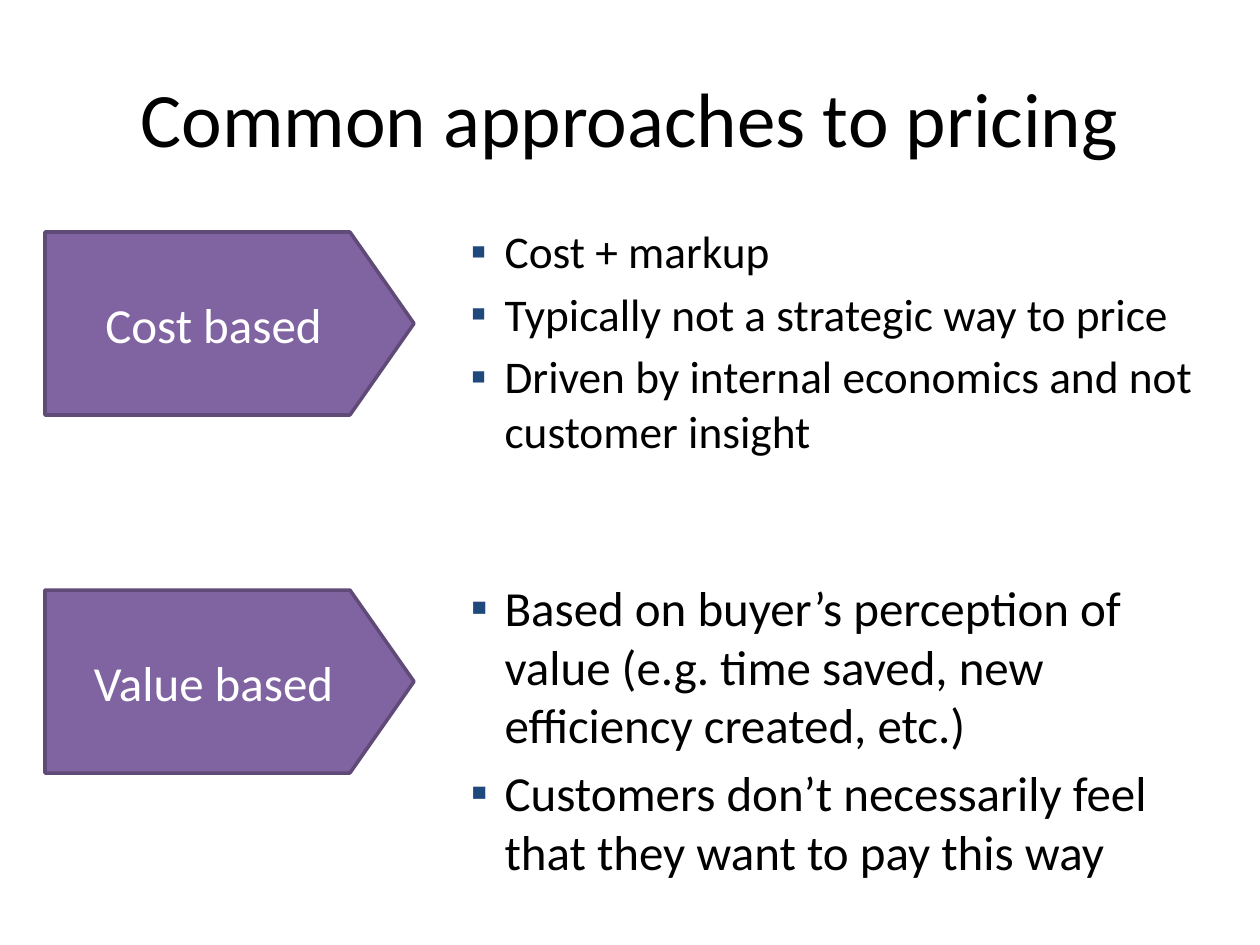
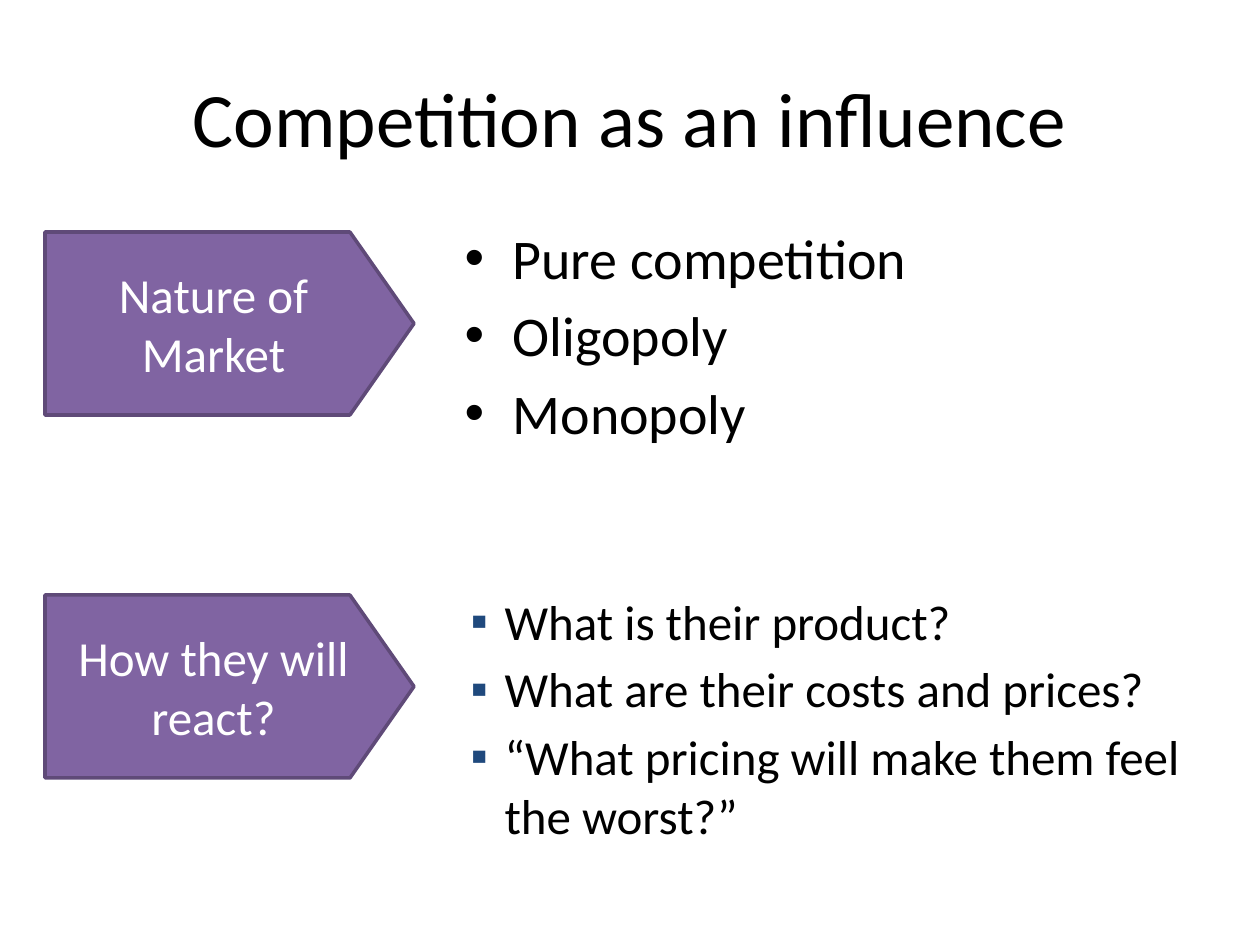
from lxml.etree import SubElement
from pptx import Presentation
from pptx.dml.color import RGBColor as RGB
from pptx.enum.shapes import MSO_SHAPE as SHAPE
from pptx.enum.text import MSO_ANCHOR as ANCHOR, MSO_AUTO_SIZE as FIT, PP_ALIGN as ALIGN
from pptx.oxml.ns import qn
from pptx.util import Emu, Pt

BLACK = RGB(0x00, 0x00, 0x00)
WHITE = RGB(0xFF, 0xFF, 0xFF)
NAVY = RGB(0x1F, 0x49, 0x7D)
PURPLE = RGB(0x80, 0x64, 0xA2)
PLUM = RGB(0x5F, 0x4A, 0x78)
FONT = "Calibri"
SCALE = 914400 / 126

# Bullet styles: sign, sign font, colour, left margin, hanging indent
SQUARE = ("▪", "Arial", NAVY, 40, 34)
DOT = ("•", "Arial", BLACK, 48, 48)

# Each row: label, arrow top, list top, list height, size, bullet, items
SLIDES = [
    ("Common approaches to pricing", [
        ("Cost based", 232, 217, 292, 25.9, SQUARE, [
            "Cost + markup",
            "Typically not a strategic way to price",
            "Driven by internal economics and not customer insight"]),
        ("Value based", 590, 571, 360, 28, SQUARE, [
            "Based on buyer’s perception of value "
            "(e.g. time saved, new efficiency created, etc.)",
            "Customers don’t necessarily feel that they want to pay this way"]),
    ]),
    ("Competition as an influence", [
        ("Nature of Market", 232, 217, 237, 32, DOT, [
            "Pure competition", "Oligopoly", "Monopoly"]),
        ("How they will react?", 595, 585, 286, 28, SQUARE, [
            "What is their product?",
            "What are their costs and prices?",
            "“What pricing will make them feel the worst?”"]),
    ]),
]


def box(*px):
    """Turn px lengths into EMU."""
    return [Emu(round(n * SCALE)) for n in px]


def write(para, text, size, color):
    run = para.add_run()
    run.text = text
    run.font.name = FONT
    run.font.size = Pt(size)
    run.font.color.rgb = color


deck = Presentation()
deck.slide_width, deck.slide_height = box(1260, 945)
layout = deck.slide_layouts.get_by_name("Two Content")

for heading, rows in SLIDES:
    slide = deck.slides.add_slide(layout)
    title, *lists = slide.placeholders
    title.left, title.top, title.width, title.height = box(63, 38, 1134, 158)
    title.text_frame.vertical_anchor = ANCHOR.MIDDLE
    para = title.text_frame.paragraphs[0]
    para.alignment = ALIGN.CENTER
    write(para, heading, 44, BLACK)

    for body, row in zip(lists, rows):
        label, y, top, height, size, bullet, items = row
        sign, face, color, margin, hang = bullet

        arrow = slide.shapes.add_shape(SHAPE.PENTAGON, *box(45, y, 369, 183))
        arrow.adjustments[0] = 0.35
        arrow.shadow.inherit = False
        arrow.fill.solid()
        arrow.fill.fore_color.rgb = PURPLE
        arrow.line.color.rgb = PLUM
        arrow.line.width = Pt(2)
        frame = arrow.text_frame
        frame.word_wrap = True
        frame.vertical_anchor = ANCHOR.MIDDLE
        para = frame.paragraphs[0]
        para.alignment = ALIGN.CENTER
        write(para, label, 28, WHITE)

        body.left, body.top, body.width, body.height = box(452, top, 779, height)
        frame = body.text_frame
        frame.auto_size = FIT.NONE
        for i, item in enumerate(items):
            para = frame.add_paragraph() if i else frame.paragraphs[0]
            para.space_before = Pt(round(size * 0.18, 1) if i else 0)
            props = para._p.get_or_add_pPr()
            left, indent = box(margin, -hang)
            props.set("marL", str(left))
            props.set("indent", str(indent))
            tint = SubElement(props, qn("a:buClr"))
            SubElement(tint, qn("a:srgbClr"), val=str(color))
            SubElement(props, qn("a:buFont"), typeface=face)
            SubElement(props, qn("a:buChar"), char=sign)
            write(para, item, size, BLACK)

deck.save("out.pptx")
